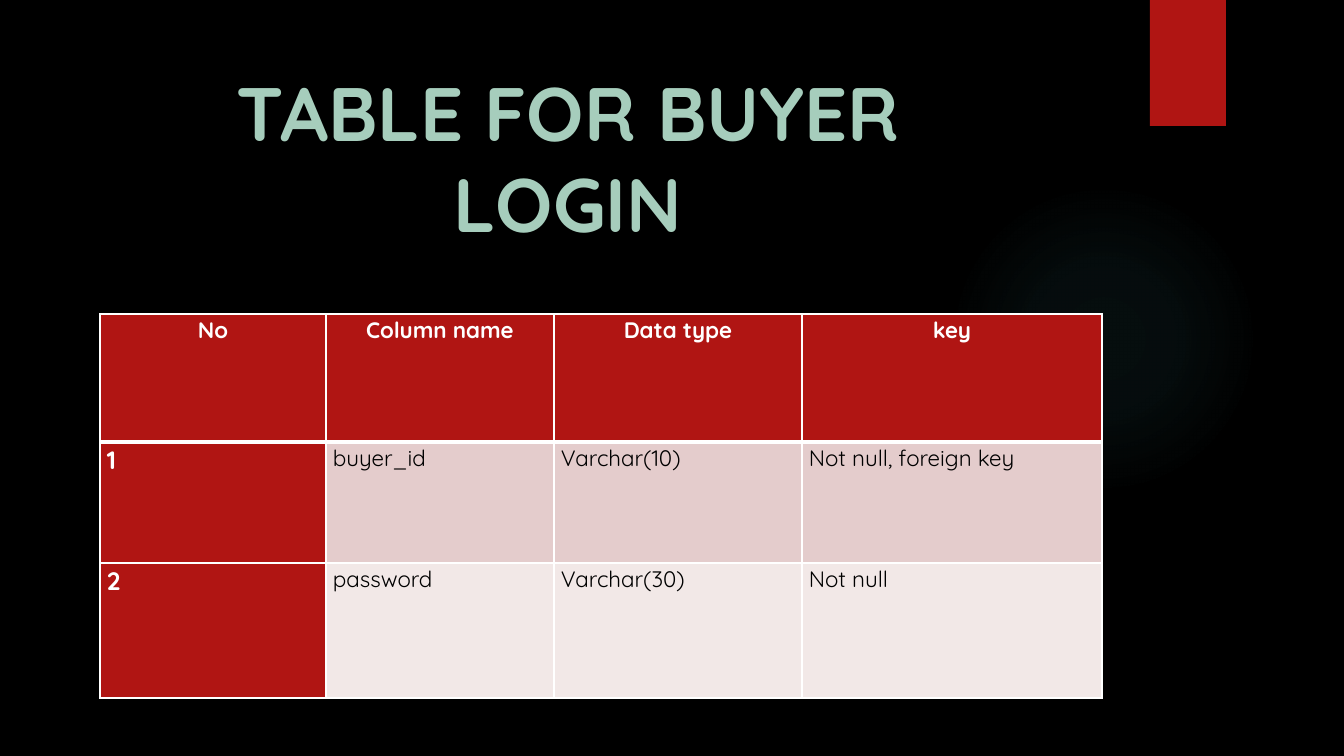
from lxml import etree
from pptx import Presentation
from pptx.dml.color import RGBColor as RGB
from pptx.enum.shapes import MSO_SHAPE as SHAPE
from pptx.enum.text import PP_ALIGN as ALIGN
from pptx.oxml import parse_xml
from pptx.oxml.ns import nsdecls, qn
from pptx.util import Pt

PX = 914400 / 100.8
COLORS = {
    "background": "000000", "red": "B01513", "glow": "50B9C1",
    "title": "A6CDBC", "white": "FFFFFF", "black": "000000",
    "band_dark": "E4CCCC", "band_light": "F2E8E7",
}


def px(*lengths):
    return [round(n * PX) for n in lengths]


def style(p, size, color, bold):
    f = p.runs[0].font
    f.name, f.size, f.bold = "Quicksand", Pt(size), bold
    f.color.rgb = RGB.from_string(COLORS[color])


prs = Presentation()
prs.slide_width, prs.slide_height = px(1344, 756)
s = prs.slides.add_slide(prs.slide_layouts[6])
s.background.fill.solid()
s.background.fill.fore_color.rgb = RGB.from_string(COLORS["background"])

# Soft glow and corner ribbon
glow = s.shapes.add_shape(SHAPE.OVAL, *px(949, 184, 310, 310))
glow.shadow.inherit = False
glow.line.fill.background()
stops = "".join(
    f'<a:gs pos="{pos * 1000}"><a:srgbClr val="{COLORS["glow"]}">'
    f'<a:alpha val="{alpha * 1000}"/></a:srgbClr></a:gs>'
    for pos, alpha in [(0, 7), (36, 6), (69, 0)])
glow_fill = parse_xml(
    f'<a:gradFill {nsdecls("a")}><a:gsLst>{stops}</a:gsLst><a:path path="circle">'
    '<a:fillToRect l="50000" t="50000" r="50000" b="50000"/></a:path></a:gradFill>')
glow._element.spPr.find(qn("a:prstGeom")).addnext(glow_fill)

ribbon = s.shapes.add_shape(SHAPE.RECTANGLE, *px(1150, 0, 76, 126))
ribbon.shadow.inherit = False
ribbon.fill.solid()
ribbon.fill.fore_color.rgb = RGB.from_string(COLORS["red"])
ribbon.line.fill.background()

# Column table
ROWS = [
    ["No", "Column name", "Data type", "key"],
    ["1", "buyer_id", "Varchar(10)", "Not null, foreign key"],
    ["2", "password", "Varchar(30)", "Not null"],
]
COL_WIDTHS = [226, 228, 248, 300]
ROW_HEIGHTS = [128, 121, 135]
BANDS = ["red", "band_dark", "band_light"]

table = s.shapes.add_table(
    len(ROWS), len(COL_WIDTHS),
    *px(100, 314, sum(COL_WIDTHS), sum(ROW_HEIGHTS))).table
for col, width in zip(table.columns, px(*COL_WIDTHS)):
    col.width = width
for row, height in zip(table.rows, px(*ROW_HEIGHTS)):
    row.height = height

for i, row in enumerate(ROWS):
    for j, text in enumerate(row):
        cell = table.cell(i, j)
        cell.margin_left, cell.margin_right = px(7, 7)
        cell.margin_top = cell.margin_bottom = 0
        cell.text_frame.text = text
        p = cell.text_frame.paragraphs[0]
        p.line_spacing = 1.07
        p.alignment = ALIGN.CENTER if i == 0 else ALIGN.LEFT
        heading = i == 0 or j == 0
        style(p, 18 if i and j == 0 else 16, "white" if heading else "black", heading)

        tc_pr = cell._tc.get_or_add_tcPr()
        for side in "LRTB":
            thick = (i, side) in [(0, "B"), (1, "T")]
            ln = etree.SubElement(tc_pr, qn(f"a:ln{side}"), w=str(Pt(3 if thick else 1)))
            fill = etree.SubElement(ln, qn("a:solidFill"))
            etree.SubElement(fill, qn("a:srgbClr"), val=COLORS["white"])
        cell.fill.solid()
        cell.fill.fore_color.rgb = RGB.from_string(COLORS["red" if heading else BANDS[i]])

# Title
tf = s.shapes.add_textbox(*px(118, 61, 900, 102)).text_frame
tf.word_wrap = True
tf.text = "TABLE FOR BUYER LOGIN"
p = tf.paragraphs[0]
p.alignment = ALIGN.CENTER
style(p, 54, "title", True)

prs.save("out.pptx")
